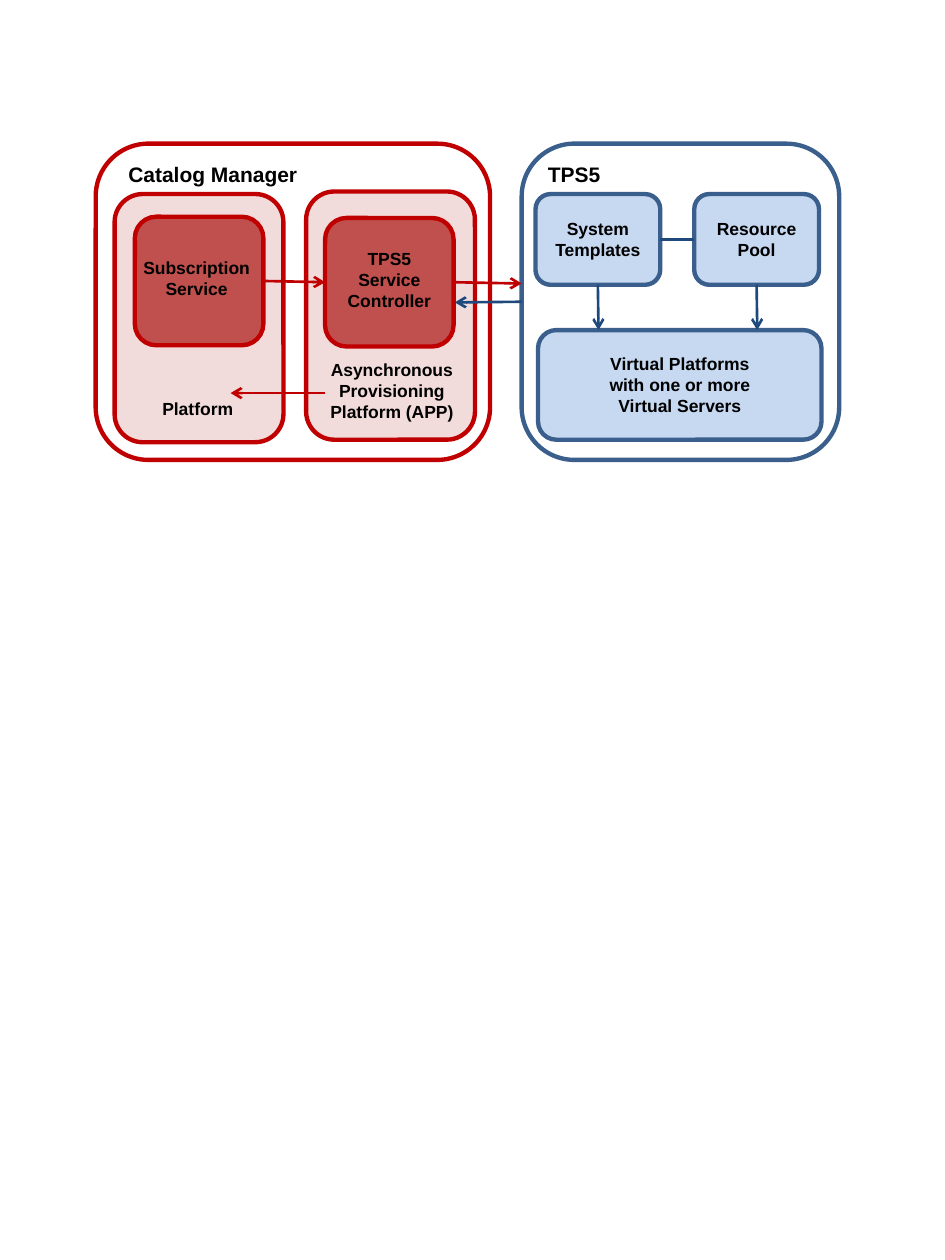
from pptx import Presentation
from pptx.dml.color import RGBColor
from pptx.enum.shapes import MSO_CONNECTOR as Connector, MSO_SHAPE as Shape
from pptx.enum.text import MSO_ANCHOR as Anchor, PP_ALIGN as Align
from pptx.oxml.ns import qn
from pptx.util import Inches, Pt
from lxml.etree import SubElement

WIDTH, HEIGHT = 7.5, 10
COLUMNS, ROWS = 75, 100
RED, BLUE, NAVY = "C00000", "3A5F8C", "1F497D"
PINK, BRICK, SKY = "F2DCDB", "C0504D", "C6D9F1"
TOP, LEFT, BOTTOM, RIGHT = range(4)


def color(code):
    return RGBColor.from_string(code)


class Diagram:
    """Draws styled boxes, labels and arrows on a grid of columns and rows."""

    def __init__(self, slide, font="Arial"):
        self.slide = slide
        self.font = font

    def place(self, *cells):
        steps = (WIDTH / COLUMNS, HEIGHT / ROWS)
        return [Inches(cell * steps[index % 2]) for index, cell in enumerate(cells)]

    def fill_text(self, frame, lines, size, align):
        for index, line in enumerate(lines):
            paragraph = frame.add_paragraph() if index else frame.paragraphs[0]
            paragraph.text = line
            paragraph.alignment = align
            paragraph.font.name = self.font
            paragraph.font.size = Pt(size)
            paragraph.font.bold = True
            paragraph.font.color.rgb = color("000000")

    def box(self, cells, line, fill=None, lines=(), insets=(0.1, 0.05, 0.1, 0.05)):
        shape = self.slide.shapes.add_shape(Shape.ROUNDED_RECTANGLE, *self.place(*cells))
        shape.shadow.inherit = False
        if fill:
            shape.fill.solid()
            shape.fill.fore_color.rgb = color(fill)
        else:
            shape.fill.background()
        shape.line.color.rgb = color(line)
        shape.line.width = Pt(2.5)
        frame = shape.text_frame
        frame.word_wrap = True
        frame.vertical_anchor = Anchor.MIDDLE
        left, top, right, bottom = map(Inches, insets)
        frame.margin_left, frame.margin_right = left, right
        frame.margin_top, frame.margin_bottom = top, bottom
        self.fill_text(frame, lines, 10, Align.CENTER)
        return shape

    def label(self, cells, lines, size=10, align=Align.LEFT, wrap=True):
        frame = self.slide.shapes.add_textbox(*self.place(*cells)).text_frame
        frame.word_wrap = wrap
        self.fill_text(frame, lines, size, align)

    def connect(self, start, end, line, begin=None, finish=None, arrow=True):
        connector = self.slide.shapes.add_connector(
            Connector.STRAIGHT, *self.place(*start, *end))
        if begin:
            connector.begin_connect(*begin)
        if finish:
            connector.end_connect(*finish)
        connector.line.color.rgb = color(line)
        connector.line.width = Pt(1.5)
        properties = connector.element.spPr
        if arrow:
            SubElement(properties.find(qn("a:ln")), qn("a:tailEnd"), type="arrow")
        SubElement(properties, qn("a:effectLst"))


def main():
    presentation = Presentation()
    presentation.slide_width, presentation.slide_height = Inches(WIDTH), Inches(HEIGHT)
    diagram = Diagram(presentation.slides.add_slide(presentation.slide_layouts[6]))

    diagram.box((7.6, 11.4, 31.3, 25.1), RED)
    system = diagram.box((41.4, 11.4, 25.2, 25.1), BLUE)
    for column, row in ((9.1, 15.4), (24.3, 15.2)):
        diagram.box((column, row, 13.4, 19.7), RED, PINK)
    for column, title, width in ((9.2, "Catalog Manager", 15.6), (42.5, "TPS5", 6.2)):
        diagram.label((column, 12.3, width, 3), [title], 12, wrap=False)

    subscription = diagram.box((10.7, 17.2, 10.2, 10.2), RED, BRICK,
                               ["Subscription Service"], (0, 0, 0.04, 0.04))
    controller = diagram.box((25.8, 17.3, 10.2, 10.2), RED, BRICK,
                             ["TPS5", "Service", "Controller"], (0, 0, 0, 0.04))
    templates = diagram.box((42.5, 15.4, 9.9, 7.2), BLUE, SKY, ["System", "Templates"])
    pool = diagram.box((55.1, 15.4, 9.9, 7.2), BLUE, SKY, ["Resource Pool"])
    diagram.box((42.7, 26.2, 22.5, 8.7), BLUE, SKY,
                ["Virtual Platforms", "with one or more", "Virtual Servers"])
    diagram.label((11.9, 31.1, 8.3, 2.7), ["Platform"])
    diagram.label((24.1, 28, 14, 6.1),
                  ["Asynchronous", "Provisioning", "Platform (APP)"], align=Align.CENTER)

    diagram.connect((20.9, 22.3), (25.8, 22.4), RED,
                    (subscription, RIGHT), (controller, LEFT))
    diagram.connect((25.8, 31.2), (18.3, 31.2), RED)
    diagram.connect((36, 22.4), (41.4, 22.5), RED, (controller, RIGHT))
    diagram.connect((41.4, 24), (36.1, 24), NAVY, (system, LEFT))
    for source, column in ((templates, 47.5), (pool, 60.1)):
        diagram.connect((column, 22.6), (column, 26.2), NAVY, (source, BOTTOM))
    diagram.connect((55.1, 19), (52.4, 19), NAVY,
                    (pool, LEFT), (templates, RIGHT), arrow=False)

    presentation.save("out.pptx")


if __name__ == "__main__":
    main()
